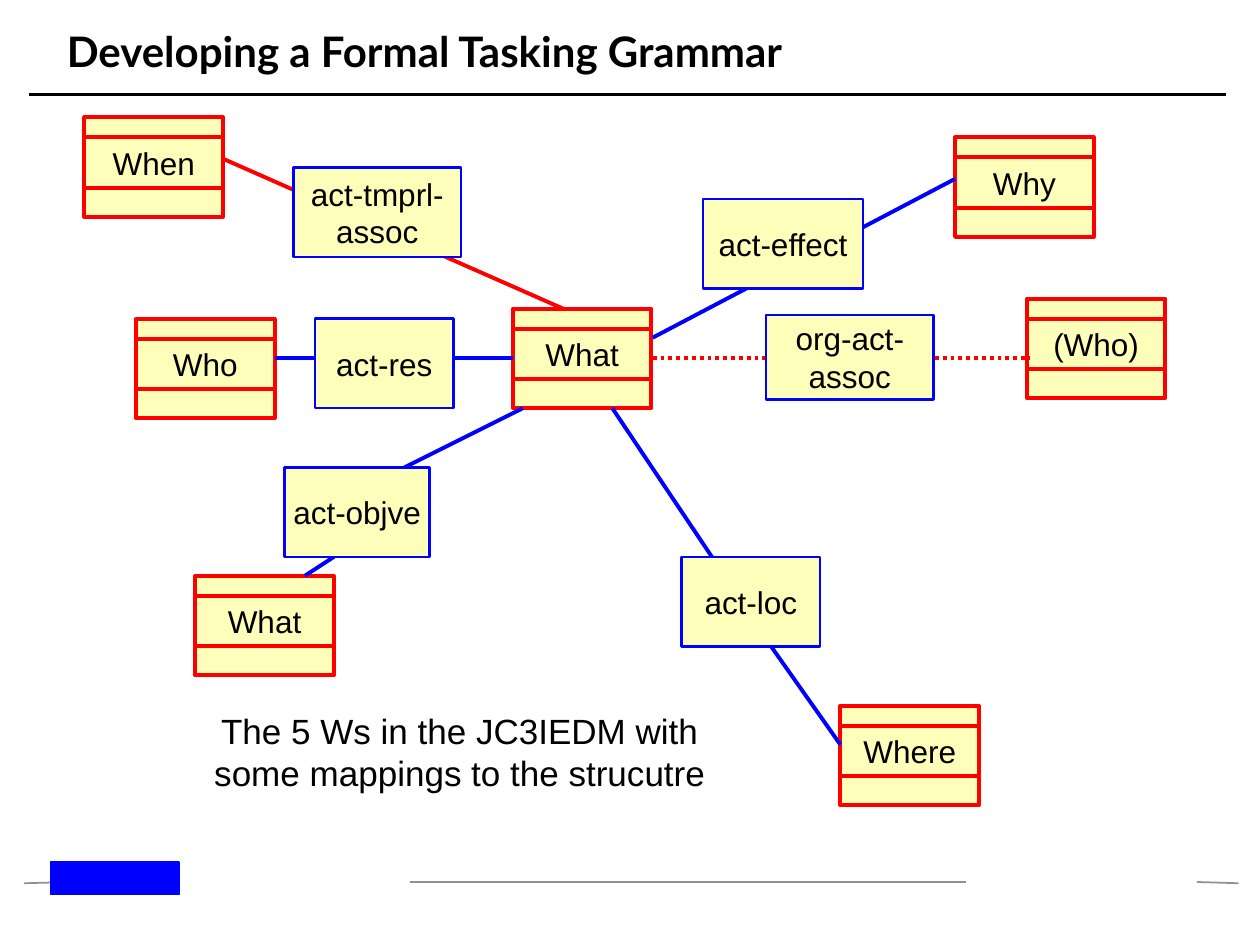
from pptx import Presentation
from pptx.dml.color import RGBColor
from pptx.enum.dml import MSO_LINE
from pptx.enum.shapes import MSO_CONNECTOR, MSO_SHAPE
from pptx.enum.text import MSO_ANCHOR, PP_ALIGN
from pptx.oxml.ns import qn
from pptx.util import Inches, Pt
from lxml import etree

STRAIGHT = MSO_CONNECTOR.STRAIGHT
RECTANGLE = MSO_SHAPE.RECTANGLE
DOTTED = MSO_LINE.ROUND_DOT
TOP, MIDDLE = MSO_ANCHOR.TOP, MSO_ANCHOR.MIDDLE
LEFT, CENTER = PP_ALIGN.LEFT, PP_ALIGN.CENTER

COLORS = {
    "black": "000000",
    "gray": "919191",
    "red": "FF0000",
    "blue": "0000FF",
    "cream": "FCFEB9",
}

ENTITY_WIDTH, ENTITY_HEIGHT = 1.1, 0.79
BAND_OFFSET, BAND_HEIGHT = 0.16, 0.4

ENTITIES = [
    ("Why", 7.58, 1.09),
    ("What", 4.07, 2.45),
    ("(Who)", 8.15, 2.37),
    ("Where", 6.67, 5.6),
    ("When", 0.67, 0.93),
    ("Who", 1.08, 2.53),
    ("What", 1.55, 4.57),
]

RELATIONS = [
    (["act-res"], 2.5, 2.53, 1.1, 0.71),
    (["act-objve"], 2.26, 3.71, 1.15, 0.71),
    (["act-loc"], 5.41, 4.42, 1.1, 0.71),
    (["org-act-", "assoc"], 6.08, 2.5, 1.33, 0.67),
    (["act-effect"], 5.58, 1.58, 1.27, 0.71),
    (["act-tmprl-", "assoc"], 2.33, 1.33, 1.33, 0.71),
]

BLUE_LINKS = [
    ((5.18, 2.68), (7.58, 1.42)),
    ((4.07, 2.84), (3.6, 2.84)),
    ((2.5, 2.84), (2.18, 2.84)),
    ((4.15, 3.24), (3.21, 3.71)),
    ((2.65, 4.42), (2.42, 4.57)),
    ((4.86, 3.24), (5.65, 4.42)),
    ((6.12, 5.13), (6.67, 5.91)),
]

FOOTER_RULES = [
    ((3.25, 7), (7.67, 7)),
    ((0.19, 7.01), (0.58, 7)),
    ((9.5, 7), (9.83, 7.01)),
]


def color(name):
    return RGBColor.from_string(COLORS[name])


def write_lines(frame, lines, size, font="Arial", align=CENTER, anchor=TOP):
    frame.vertical_anchor = anchor
    frame.text = "\n".join(lines)
    for paragraph in frame.paragraphs:
        paragraph.alignment = align
        paragraph.font.name = font
        paragraph.font.size = Pt(size)
        paragraph.font.color.rgb = color("black")


def add_line(slide, start, end, ink, width, dash=None):
    line = slide.shapes.add_connector(STRAIGHT, *map(Inches, (*start, *end)))
    line.line.color.rgb = color(ink)
    line.line.width = Pt(width)
    if dash is not None:
        line.line.dash_style = dash
    etree.SubElement(line._element.spPr, qn("a:effectLst"))


def add_box(slide, left, top, width, height, outline, weight, fill="cream"):
    box = slide.shapes.add_shape(RECTANGLE, *map(Inches, (left, top, width, height)))
    box.shadow.inherit = False
    box.fill.solid()
    box.fill.fore_color.rgb = color(fill)
    box.line.color.rgb = color(outline)
    box.line.width = Pt(weight)
    return box


def add_entity(slide, name, left, top):
    add_box(slide, left, top, ENTITY_WIDTH, ENTITY_HEIGHT, "red", 2.25)
    band = add_box(slide, left, top + BAND_OFFSET, ENTITY_WIDTH, BAND_HEIGHT, "red", 2.25)
    write_lines(band.text_frame, [name], 18)


def add_relation(slide, lines, left, top, width, height):
    relation = add_box(slide, left, top, width, height, "blue", 1.5)
    write_lines(relation.text_frame, lines, 18, anchor=MIDDLE)
    relation.text_frame.word_wrap = False


def add_caption(slide, lines, left, top, width, height):
    frame = slide.shapes.add_textbox(*map(Inches, (left, top, width, height))).text_frame
    frame.word_wrap = True
    write_lines(frame, lines, 20)


def set_title(slide, text):
    title = slide.shapes.title
    title.left, title.top = Inches(0.43), Inches(0.08)
    title.width, title.height = Inches(9), Inches(0.64)
    write_lines(title.text_frame, [text], 24, font="Lato", align=LEFT, anchor=MIDDLE)
    title.text_frame.paragraphs[0].font.bold = True


def main():
    presentation = Presentation()
    presentation.slide_width, presentation.slide_height = Inches(10), Inches(7.5)
    slide = presentation.slides.add_slide(presentation.slide_layouts[5])

    set_title(slide, "Developing a Formal Tasking Grammar")
    add_line(slide, (0.23, 0.75), (9.73, 0.75), "black", 2)
    for start, end in FOOTER_RULES:
        add_line(slide, start, end, "gray", 1)
    add_box(slide, 0.4, 6.84, 1.02, 0.26, "blue", 1, fill="blue")

    for entity in ENTITIES:
        add_entity(slide, *entity)
    add_line(slide, (5.18, 2.84), (8.17, 2.84), "red", 2.25, DOTTED)
    add_line(slide, (4.47, 2.45), (1.77, 1.26), "red", 2.25)
    for start, end in BLUE_LINKS:
        add_line(slide, start, end, "blue", 2.25)
    for relation in RELATIONS:
        add_relation(slide, *relation)

    add_caption(slide, ["The 5 Ws in the JC3IEDM with", "some mappings to the strucutre"],
                0.58, 5.58, 6.14, 0.77)
    presentation.save("out.pptx")


if __name__ == "__main__":
    main()
